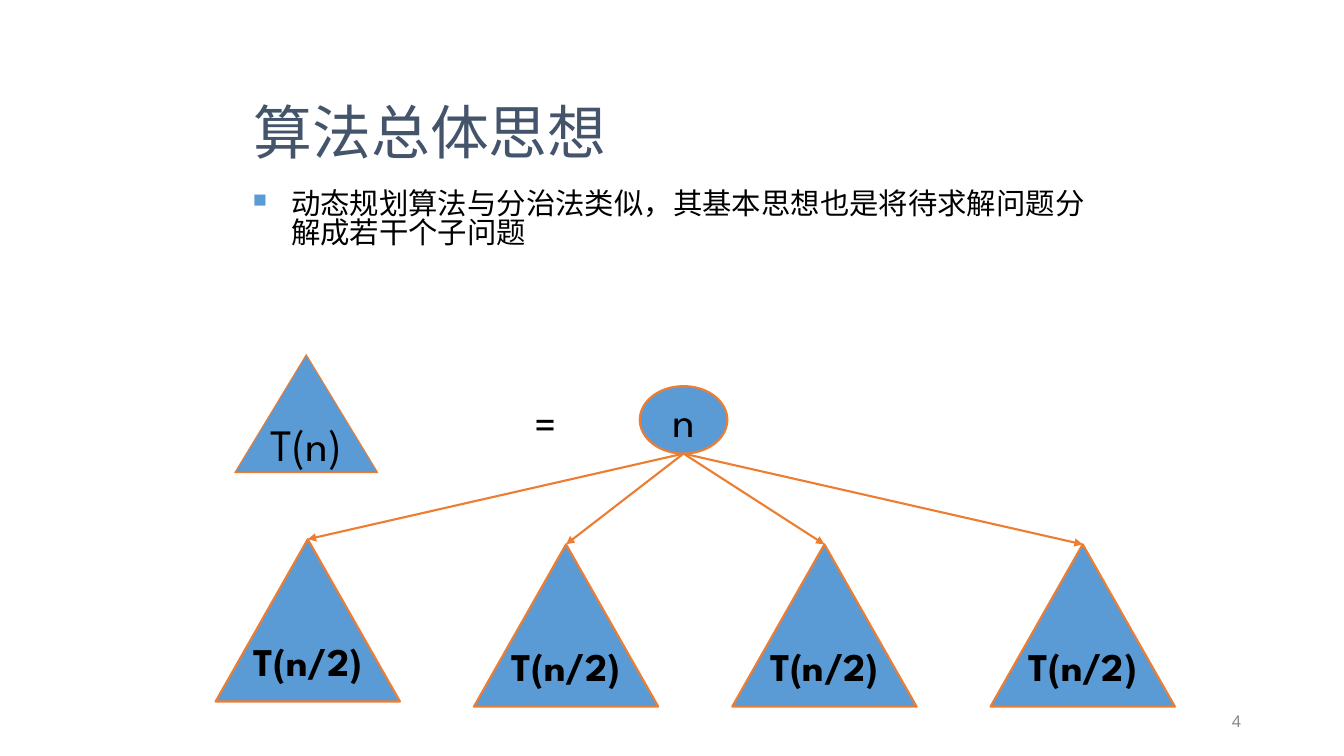
from pptx import Presentation, util as u
from pptx.dml.color import RGBColor
from pptx.enum import shapes, text
from pptx.oxml import parse_xml
from pptx.oxml.ns import nsdecls, qn

THEME = {
    "blue": RGBColor.from_string("5B9BD5"),
    "orange": RGBColor.from_string("ED7D31"),
    "black": RGBColor.from_string("000000"),
    "slate": RGBColor.from_string("44546A"),
    "grey": RGBColor.from_string("898989"),
    "title": u.Pt(42), "node": u.Pt(32), "leaf": u.Pt(28), "body": u.Pt(21), "number": u.Pt(12),
    "line": u.Pt(1.5), "thin": u.Pt(0.75),
    "chinese": "Noto Sans CJK SC", "label": "League Spartan",
}

presentation = Presentation()
presentation.slide_width, presentation.slide_height = u.Inches(13.34), u.Inches(7.5)
slide = presentation.slides.add_slide(presentation.slide_layouts[6])


def share(*percents):
    sides = (presentation.slide_width, presentation.slide_height) * 2
    return [round(side * percent / 100) for side, percent in zip(sides, percents)]


def write(shape, words, font, size, color, align, anchor="MIDDLE", wrap=True, bold=False):
    frame = shape.text_frame
    frame.word_wrap = wrap
    frame.vertical_anchor = text.MSO_ANCHOR[anchor]
    paragraph = frame.paragraphs[0]
    paragraph.alignment = text.PP_ALIGN[align]
    run = paragraph.add_run()
    run.text = words
    for name, value in {"name": font, "size": THEME[size], "bold": bold}.items():
        setattr(run.font, name, value)
    run.font.color.rgb = THEME[color]
    run.font._element.append(parse_xml(f'<a:ea {nsdecls("a")} typeface="{THEME["chinese"]}"/>'))
    return paragraph


texts = {
    "number": ((70.61, 92.67, 22.49, 5.33), "4", "Arial", "number", "grey", "RIGHT"),
    "body": ((18.07, 23.73, 63.72, 60), "动态规划算法与分治法类似，其基本思想也是将待求解问题分解成若干个子问题",
             THEME["chinese"], "body", "black", "LEFT", "TOP"),
    "title": ((18.14, 8.93, 63.72, 16.67), "算法总体思想", "Times New Roman", "title", "slate", "LEFT"),
    "equals": ((36.21, 51.73, 8.77, 8.53), "=", THEME["label"], "node", "black", "CENTER", "TOP"),
}
paragraphs = {}
for name, (place, *style) in texts.items():
    box = slide.shapes.add_textbox(*share(*place))
    paragraphs[name] = write(box, *style)
    if name == "body":
        box.text_frame.margin_top = u.Inches(0.12)

paragraphs["body"].line_spacing = 0.82
bullet = paragraphs["body"]._p.get_or_add_pPr()
for name, value in {"marL": u.Inches(0.38), "indent": -u.Inches(0.38)}.items():
    bullet.set(name, str(value))
for element in (f'<a:buClr {nsdecls("a")}><a:srgbClr val="{THEME["blue"]}"/></a:buClr>',
                f'<a:buSzPct {nsdecls("a")} val="65000"/>',
                f'<a:buChar {nsdecls("a")} char="■"/>'):
    bullet.append(parse_xml(element))

root_x, root_y, root_width, root_height = root = 47.6, 51.07, 6.52, 8.93
leaf_width, leaf_height, leaf_step = 13.72, 21.47, 19.22
leaves = [(16.04 + leaf_step * column, top, leaf_width, leaf_height)
          for column, top in enumerate((71.33, 72, 72, 72))]

for left, top, width, height in leaves:
    start = share(root_x + root_width / 2, root_y + root_height)
    end = share(left + width / 2, top)
    arrow = slide.shapes.add_connector(shapes.MSO_CONNECTOR.STRAIGHT, *start, *end)
    arrow.line.color.rgb = THEME["orange"]
    arrow.line.width = THEME["line"]
    arrow.line._get_or_add_ln().append(parse_xml(f'<a:tailEnd {nsdecls("a")} type="triangle"/>'))
    arrow._element.find(qn("p:spPr")).append(parse_xml(f'<a:effectLst {nsdecls("a")}/>'))

nodes = [("OVAL", root, "n", "node", "line", False),
         ("ISOSCELES_TRIANGLE", (17.47, 46.93, 10.64, 15.6), "T(n)", "node", "thin", False)]
nodes += [("ISOSCELES_TRIANGLE", leaf, "T(n/2)", "leaf", "line", True) for leaf in leaves]
for kind, place, words, size, weight, bold in nodes:
    node = slide.shapes.add_shape(shapes.MSO_SHAPE[kind], *share(*place))
    node.shadow.inherit = False
    node.fill.solid()
    node.fill.fore_color.rgb = THEME["blue"]
    node.line.color.rgb = THEME["orange"]
    node.line.width = THEME[weight]
    write(node, words, THEME["label"], size, "black", "CENTER", wrap=False, bold=bold)

presentation.save("out.pptx")
